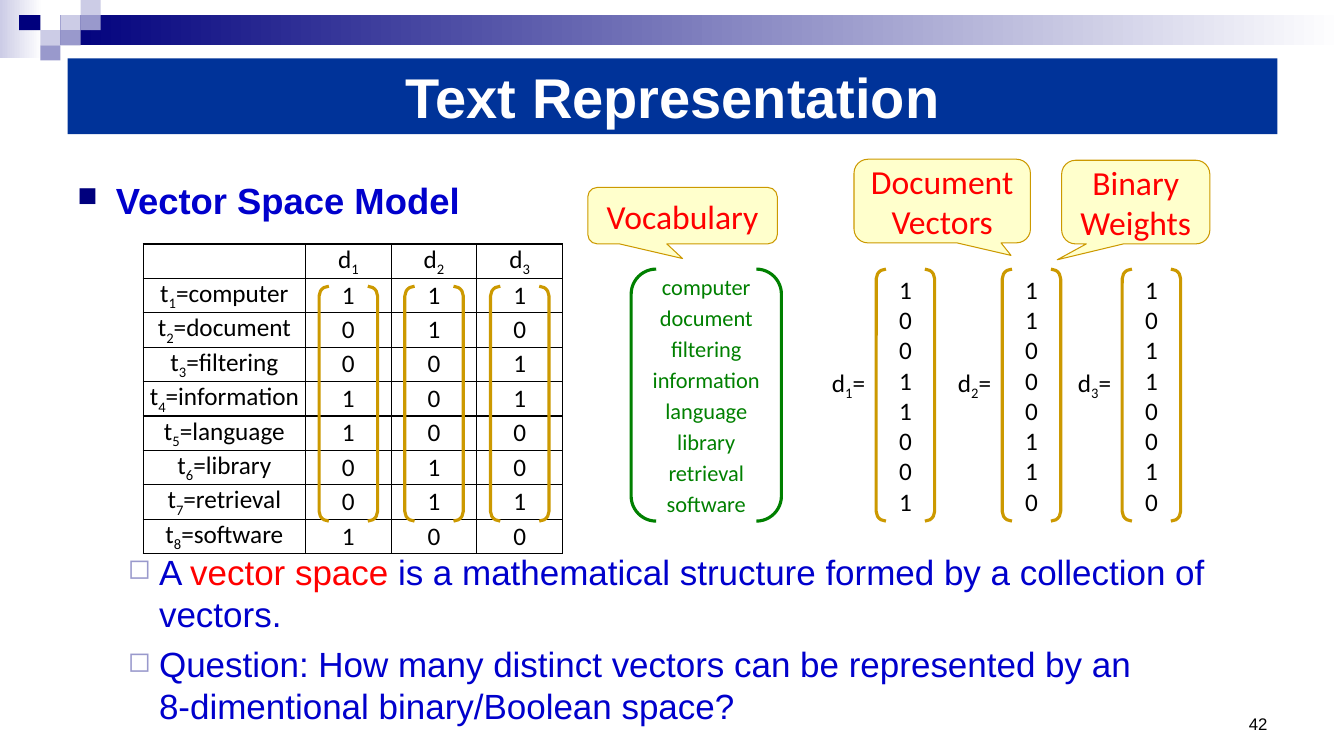
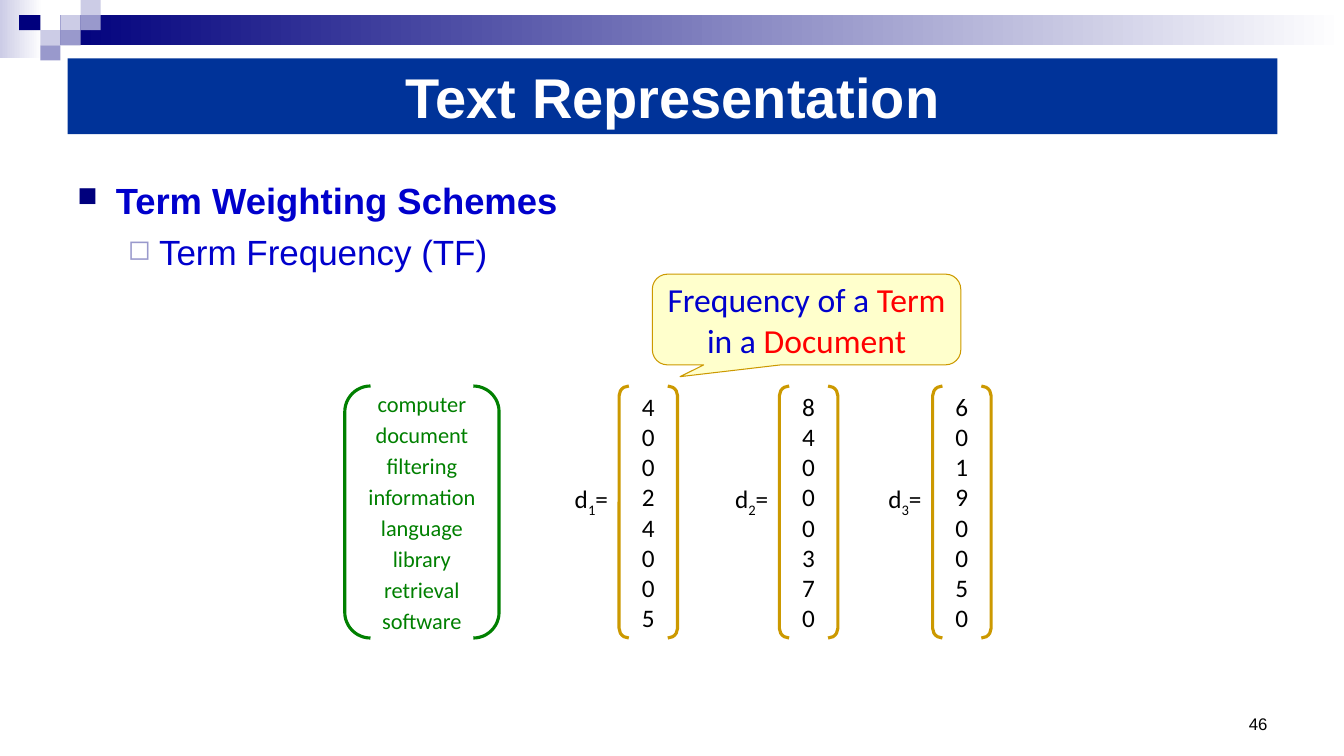
from dataclasses import dataclass
from typing import NamedTuple, Optional

from lxml.etree import SubElement
from pptx import Presentation
from pptx.dml.color import RGBColor
from pptx.enum.shapes import MSO_SHAPE
from pptx.enum.text import MSO_ANCHOR, PP_ALIGN
from pptx.oxml.ns import qn
from pptx.shapes.autoshape import Shape
from pptx.slide import Slide
from pptx.text.text import TextFrame
from pptx.util import Inches, Pt

NAVY = RGBColor(0x00, 0x00, 0x7D)
LAVENDER = RGBColor(0x99, 0x99, 0xCC)
PALE_LAVENDER = RGBColor(0xCC, 0xCC, 0xE6)
TITLE_BLUE = RGBColor(0x00, 0x33, 0x99)
TEXT_BLUE = RGBColor(0x00, 0x00, 0xCC)
RED = RGBColor(0xFF, 0x00, 0x00)
GREEN = RGBColor(0x00, 0x80, 0x00)
GOLD = RGBColor(0xCC, 0x99, 0x00)
CREAM = RGBColor(0xFF, 0xFF, 0xCC)
BLACK = RGBColor(0x00, 0x00, 0x00)
WHITE = RGBColor(0xFF, 0xFF, 0xFF)

TITLE_FONT = {"name": "Arial", "size": Pt(40), "bold": True}
HEADING_FONT = {"name": "Arial", "size": Pt(26), "bold": True}
POINT_FONT = {"name": "Arial", "size": Pt(25), "bold": False}
NUMBER_FONT = {"name": "Arial", "size": Pt(12)}
CALLOUT_FONT = {"name": "Calibri", "size": Pt(24)}
VALUE_FONT = {"name": "Calibri", "size": Pt(18)}
TERM_FONT = {"name": "Calibri", "size": Pt(16)}

TERMS = ["computer", "document", "filtering", "information",
         "language", "library", "retrieval", "software"]
BINARY_VECTORS = ["10011001", "11000110", "10110010"]
FREQUENCY_VECTORS = ["40024005", "84000370", "60190050"]
BRACKET_WIDTH = 0.58
BRACKET_HEIGHT = 2.5


class Box(NamedTuple):
    """Left, top, width and height in inches."""
    left: float
    top: float
    width: float
    height: float

    def lengths(self) -> list:
        return [Inches(value) for value in self]


class Piece(NamedTuple):
    """A stretch of text; a newline in it is a line break."""
    text: str
    color: Optional[RGBColor] = None
    subscript: bool = False


@dataclass
class Bullet:
    mark: str
    color: RGBColor
    percent: int
    left: float
    hanging: float
    font: dict


@dataclass
class Point:
    bullet: Bullet
    pieces: list


@dataclass
class Callout:
    box: Box
    tip: tuple
    pieces: list


HEADING = Bullet("■", NAVY, 75, 0.38, 0.38, HEADING_FONT)
SUBPOINT = Bullet("◻", LAVENDER, 80, 0.81, 0.31, POINT_FONT)

CORNER_SQUARES = [
    (Box(0.6, 0.15, 0.2, 0.15), PALE_LAVENDER),
    (Box(0.8, 0, 0.2, 0.15), PALE_LAVENDER),
    (Box(0.8, 0.15, 0.2, 0.15), LAVENDER),
    (Box(0.4, 0.3, 0.2, 0.15), PALE_LAVENDER),
    (Box(0.19, 0.15, 0.21, 0.15), NAVY),
    (Box(0.6, 0.3, 0.2, 0.15), LAVENDER),
    (Box(0.4, 0.45, 0.2, 0.15), LAVENDER),
]


def indexed(letter: str, index: int, tail: str = "") -> list:
    """Pieces for a letter with a subscript number."""
    return [Piece(letter), Piece(str(index), subscript=True), Piece(tail)]


def add_pieces(paragraph, pieces: list, font: dict, color: RGBColor) -> None:
    for piece in pieces:
        for number, line in enumerate(piece.text.split("\n")):
            if number:
                paragraph.add_line_break()
            if not line:
                continue
            run = paragraph.add_run()
            run.text = line
            for attribute, value in font.items():
                setattr(run.font, attribute, value)
            run.font.color.rgb = piece.color or color
            if piece.subscript:
                run.font._element.set("baseline", "-25000")


def write_lines(frame: TextFrame, lines: list, font: dict, color: RGBColor,
                alignment=PP_ALIGN.CENTER, gap: float = 0) -> None:
    """Write one paragraph for each list of pieces."""
    for number, pieces in enumerate(lines):
        paragraph = frame.add_paragraph() if number else frame.paragraphs[0]
        paragraph.alignment = alignment
        if number and gap:
            paragraph.space_before = Pt(gap)
        add_pieces(paragraph, pieces, font, color)


def add_plain_shape(slide: Slide, kind: MSO_SHAPE, box: Box,
                    fill: Optional[RGBColor] = None,
                    line: Optional[RGBColor] = None, weight: float = 1) -> Shape:
    shape = slide.shapes.add_shape(kind, *box.lengths())
    shape.shadow.inherit = False
    if fill is None:
        shape.fill.background()
    else:
        shape.fill.solid()
        shape.fill.fore_color.rgb = fill
    if line is None:
        shape.line.fill.background()
    else:
        shape.line.color.rgb = line
        shape.line.width = Pt(weight)
    shape.text_frame.vertical_anchor = MSO_ANCHOR.MIDDLE
    return shape


def add_fading_bar(slide: Slide, box: Box, color: RGBColor) -> None:
    bar = add_plain_shape(slide, MSO_SHAPE.RECTANGLE, box)
    bar.fill.gradient()
    bar.fill.gradient_angle = 0
    for stop, shade, position in zip(bar.fill.gradient_stops, (color, WHITE), (0, 1)):
        stop.color.rgb = shade
        stop.position = position


def add_text_box(slide: Slide, box: Box, wrap: bool = True) -> TextFrame:
    frame = slide.shapes.add_textbox(*box.lengths()).text_frame
    frame.word_wrap = wrap
    return frame


def add_base_slide(presentation, number: int) -> Slide:
    """Add a slide with the corner pattern, title band and page number."""
    slide = presentation.slides.add_slide(presentation.slide_layouts[6])
    add_fading_bar(slide, Box(0, 0, 0.42, 0.58), PALE_LAVENDER)
    add_fading_bar(slide, Box(0.6, 0.15, 12.73, 0.3), NAVY)
    for box, color in CORNER_SQUARES:
        add_plain_shape(slide, MSO_SHAPE.RECTANGLE, box, color)
    band = add_plain_shape(slide, MSO_SHAPE.RECTANGLE, Box(0.67, 0.58, 12, 0.75), TITLE_BLUE)
    write_lines(band.text_frame, [[Piece("Text Representation")]], TITLE_FONT, WHITE)
    footer = add_text_box(slide, Box(11.11, 6.83, 1.56, 0.5))
    footer.vertical_anchor = MSO_ANCHOR.BOTTOM
    write_lines(footer, [[Piece(str(number))]], NUMBER_FONT, BLACK, PP_ALIGN.RIGHT)
    return slide


def add_points(slide: Slide, box: Box, points: list) -> None:
    frame = add_text_box(slide, box)
    for number, point in enumerate(points):
        bullet = point.bullet
        paragraph = frame.add_paragraph() if number else frame.paragraphs[0]
        properties = paragraph._p.get_or_add_pPr()
        properties.set("marL", str(Inches(bullet.left)))
        properties.set("indent", str(-Inches(bullet.hanging)))
        color = SubElement(properties, qn("a:buClr"))
        SubElement(color, qn("a:srgbClr"), val=str(bullet.color))
        SubElement(properties, qn("a:buSzPct"), val=str(bullet.percent * 1000))
        SubElement(properties, qn("a:buChar"), char=bullet.mark)
        if number:
            paragraph.space_before = Pt(6)
        add_pieces(paragraph, point.pieces, bullet.font, TEXT_BLUE)


def add_brackets(slide: Slide, box: Box, color: RGBColor) -> TextFrame:
    brackets = add_plain_shape(slide, MSO_SHAPE.DOUBLE_BRACKET, box, line=color, weight=2.25)
    brackets.text_frame.word_wrap = False
    return brackets.text_frame


def add_vocabulary(slide: Slide, left: float, top: float, width: float) -> None:
    frame = add_brackets(slide, Box(left, top, width, BRACKET_HEIGHT), GREEN)
    write_lines(frame, [[Piece(term)] for term in TERMS], TERM_FONT, GREEN, gap=3)


def add_vectors(slide: Slide, lefts: list, top: float, vectors: list) -> None:
    """Add a bracketed column and its label for each document vector."""
    for index, (left, values) in enumerate(zip(lefts, vectors), start=1):
        frame = add_brackets(slide, Box(left, top, BRACKET_WIDTH, BRACKET_HEIGHT), GOLD)
        write_lines(frame, [[Piece(value)] for value in values], VALUE_FONT, BLACK)
        label = add_text_box(slide, Box(left - 0.55, top + 0.92, 0.55, 0.4), wrap=False)
        write_lines(label, [indexed("d", index, "=")], VALUE_FONT, BLACK)


def add_callout(slide: Slide, callout: Callout) -> None:
    shape = add_plain_shape(slide, MSO_SHAPE.ROUNDED_RECTANGULAR_CALLOUT, callout.box,
                            CREAM, GOLD, 0.75)
    for number, value in enumerate(callout.tip):
        shape.adjustments[number] = value
    shape.text_frame.word_wrap = True
    write_lines(shape.text_frame, [callout.pieces], CALLOUT_FONT, RED)


def format_cell(cell, pieces: list) -> None:
    for side in ("margin_left", "margin_right", "margin_top", "margin_bottom"):
        setattr(cell, side, 0)
    cell.vertical_anchor = MSO_ANCHOR.MIDDLE
    properties = cell._tc.get_or_add_tcPr()
    for tag in ("a:lnL", "a:lnR", "a:lnT", "a:lnB"):
        border = SubElement(properties, qn(tag), w=str(Pt(1)))
        SubElement(SubElement(border, qn("a:solidFill")), qn("a:srgbClr"), val=str(BLACK))
    cell.fill.solid()
    cell.fill.fore_color.rgb = WHITE
    write_lines(cell.text_frame, [pieces], VALUE_FONT, BLACK)


def add_term_table(slide: Slide) -> None:
    """Add the term-document table with brackets around its value columns."""
    left, top, term_width, value_width, row_height = 1.42, 2.42, 1.61, 0.85, 0.34
    rows = [[[]] + [indexed("d", index) for index in (1, 2, 3)]]
    for index, (term, *values) in enumerate(zip(TERMS, *BINARY_VECTORS), start=1):
        rows.append([indexed("t", index, f"={term}")] + [[Piece(value)] for value in values])
    box = Box(left, top, term_width + 3 * value_width, row_height * len(rows))
    table = slide.shapes.add_table(len(rows), 4, *box.lengths()).table
    table.first_row = table.horz_banding = False
    for column, width in zip(table.columns, [term_width] + [value_width] * 3):
        column.width = Inches(width)
    for row, contents in zip(table.rows, rows):
        row.height = Inches(row_height)
        for cell, pieces in zip(row.cells, contents):
            format_cell(cell, pieces)
    first = left + term_width + (value_width - BRACKET_WIDTH) / 2
    for number in range(3):
        add_brackets(slide, Box(first + number * value_width, 2.84, BRACKET_WIDTH, 2.33), GOLD)


def add_vector_space_slide(presentation) -> None:
    slide = add_base_slide(presentation, 42)
    add_points(slide, Box(0.67, 1.72, 5, 0.6), [Point(HEADING, [Piece("Vector Space Model")])])
    add_points(slide, Box(0.67, 5.41, 12, 1.84), [
        Point(SUBPOINT, [Piece("A "), Piece("vector space ", RED),
                         Piece("is a mathematical structure formed by a collection of vectors.")]),
        Point(SUBPOINT, [Piece("Question: How many distinct vectors can be represented by an\n"
                               "8-dimentional binary/Boolean space?")]),
    ])
    add_term_table(slide)
    add_vocabulary(slide, 6.26, 2.67, 1.49)
    add_vectors(slide, [8.69, 9.94, 11.13], 2.67, BINARY_VECTORS)
    for callout in (
        Callout(Box(5.83, 1.86, 1.88, 0.56), (0, 0.76), [Piece("Vocabulary")]),
        Callout(Box(8.47, 1.58, 1.75, 0.83), (0.39, 0.65), [Piece("Document Vectors")]),
        Callout(Box(10.53, 1.59, 1.47, 0.83), (-0.53, 0.69), [Piece("Binary Weights")]),
    ):
        add_callout(slide, callout)


def add_term_weighting_slide(presentation) -> None:
    slide = add_base_slide(presentation, 46)
    add_points(slide, Box(0.67, 1.72, 12, 1), [
        Point(HEADING, [Piece("Term Weighting Schemes")]),
        Point(SUBPOINT, [Piece("Term Frequency (TF)")]),
    ])
    add_callout(slide, Callout(Box(6.47, 2.72, 3.06, 0.9), (-0.41, 0.63), [
        Piece("Frequency of a ", TEXT_BLUE), Piece("Term "),
        Piece("in a ", TEXT_BLUE), Piece("Document")]))
    add_vocabulary(slide, 3.42, 3.83, 1.53)
    add_vectors(slide, [6.14, 7.73, 9.25], 3.83, FREQUENCY_VECTORS)


def main() -> None:
    presentation = Presentation()
    presentation.slide_width = Inches(13.33)
    presentation.slide_height = Inches(7.5)
    add_vector_space_slide(presentation)
    add_term_weighting_slide(presentation)
    presentation.save("out.pptx")


if __name__ == "__main__":
    main()
